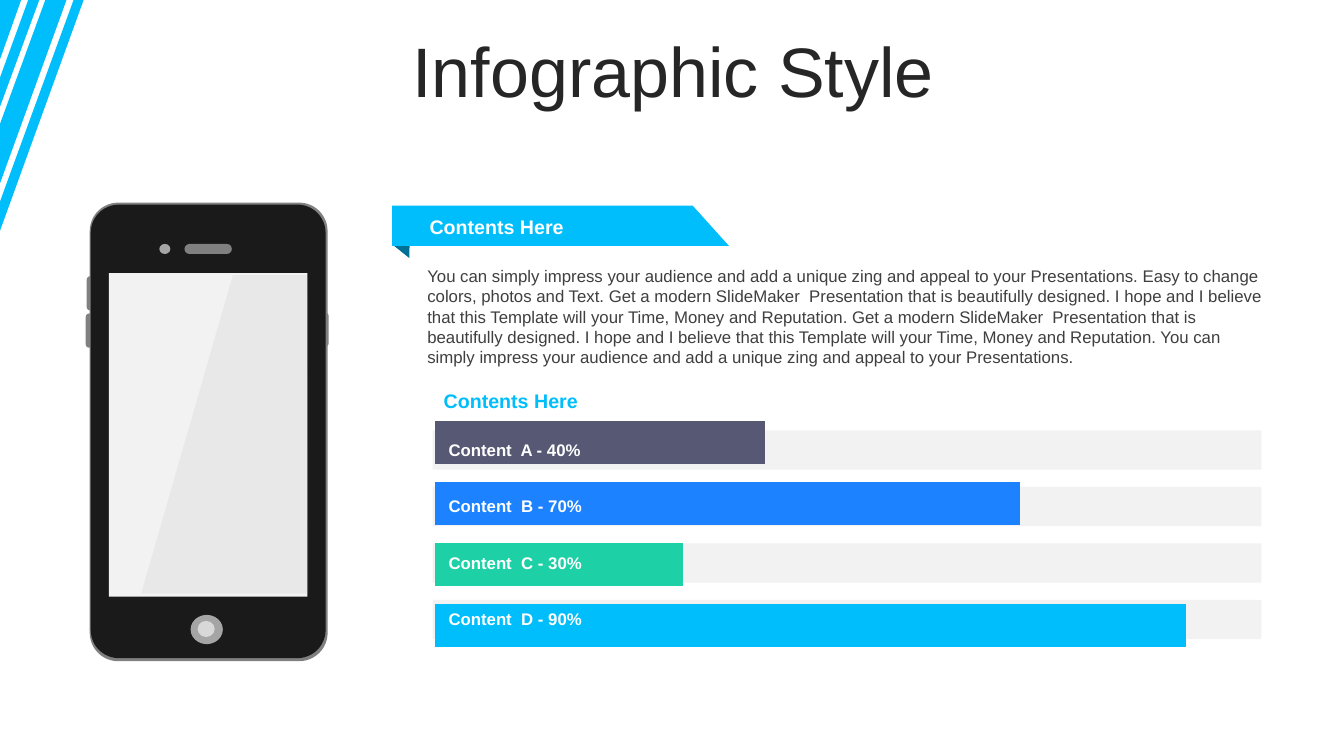
"""Build the phone infographic slide with its banner, text and bar chart."""

from dataclasses import dataclass

from lxml.etree import SubElement
from pptx import Presentation
from pptx.chart.data import CategoryChartData
from pptx.dml.color import RGBColor
from pptx.enum.chart import XL_CHART_TYPE
from pptx.enum.shapes import MSO_SHAPE
from pptx.enum.text import MSO_ANCHOR, PP_ALIGN
from pptx.oxml import parse_xml
from pptx.oxml.ns import nsdecls, qn
from pptx.shapes.autoshape import Shape
from pptx.slide import Slide
from pptx.util import Inches, Pt

FONT = "Arial"
WHITE = RGBColor(0xFF, 0xFF, 0xFF)
BLACK = RGBColor(0x00, 0x00, 0x00)
SKY = RGBColor(0x00, 0xBD, 0xFB)
DEEP_SKY = RGBColor(0x00, 0x71, 0x96)
BLUE = RGBColor(0x1C, 0x82, 0xFF)
GREEN = RGBColor(0x1E, 0xD0, 0xA6)
SLATE = RGBColor(0x56, 0x58, 0x74)
TITLE_GREY = RGBColor(0x26, 0x26, 0x26)
TEXT_GREY = RGBColor(0x3F, 0x3F, 0x3F)
SERIES_GREY = RGBColor(0x40, 0x40, 0x40)
CASE_BLACK = RGBColor(0x1A, 0x1A, 0x1A)
EDGE_GREY = RGBColor(0x80, 0x80, 0x80)
LENS_GREY = RGBColor(0xA5, 0xA5, 0xA5)
BUTTON_GREY = RGBColor(0xD8, 0xD8, 0xD8)
GLARE_GREY = RGBColor(0x99, 0x99, 0x99)
PALE_GREY = RGBColor(0xF2, 0xF2, 0xF2)

BODY_TEXT = (
    "You can simply impress your audience and add a unique zing and appeal to your "
    "Presentations. Easy to change colors, photos and Text. Get a modern SlideMaker  "
    "Presentation that is beautifully designed. I hope and I believe that this Template "
    "will your Time, Money and Reputation. Get a modern SlideMaker  Presentation that is "
    "beautifully designed. I hope and I believe that this Template will your Time, Money "
    "and Reputation. You can simply impress your audience and add a unique zing and appeal "
    "to your Presentations."
)
TRACK_TOP, TRACK_STEP = 4.27, 0.56

Box = tuple[float, float, float, float]
Outline = list[tuple[float, float]]


@dataclass(frozen=True)
class Part:
    """A preset shape with a plain fill."""

    preset: MSO_SHAPE
    box: Box
    color: RGBColor
    rounding: float | None = None


@dataclass(frozen=True)
class Bar:
    """A bar of the chart with its label."""

    label: str
    value: int
    color: RGBColor


PHONE_BODY = [
    Part(MSO_SHAPE.ROUNDED_RECTANGLE, (0.86, 2.74, 0.07, 0.34), EDGE_GREY, 0.5),
    Part(MSO_SHAPE.ROUNDED_RECTANGLE, (0.85, 3.11, 0.07, 0.34), EDGE_GREY, 0.5),
    Part(MSO_SHAPE.ROUNDED_RECTANGLE, (3.19, 3.1, 0.07, 0.34), EDGE_GREY, 0.5),
    Part(MSO_SHAPE.ROUNDED_RECTANGLE, (0.89, 2.01, 2.36, 4.55), EDGE_GREY, 0.12),
    Part(MSO_SHAPE.ROUNDED_RECTANGLE, (0.9, 2.03, 2.33, 4.5), CASE_BLACK, 0.12),
    Part(MSO_SHAPE.RECTANGLE, (1.08, 2.71, 1.97, 3.21), PALE_GREY),
    Part(MSO_SHAPE.OVAL, (1.89, 6.1, 0.32, 0.29), LENS_GREY),
    Part(MSO_SHAPE.OVAL, (1.96, 6.16, 0.17, 0.16), BUTTON_GREY),
]
PHONE_TOP = [
    Part(MSO_SHAPE.ROUNDED_RECTANGLE, (1.83, 2.42, 0.47, 0.1), EDGE_GREY, 0.5),
    Part(MSO_SHAPE.OVAL, (1.58, 2.42, 0.11, 0.1), LENS_GREY),
]
GLARE = [(2.31, 2.73), (3.05, 2.73), (3.06, 5.89), (1.4, 5.89)]
STRIPES = [
    [(0.73, 0), (0.83, 0), (0, 2.29), (0, 2)],
    [(0.39, 0), (0, 1.06), (0, 0.77), (0.28, 0)],
    [(0.66, 0), (0, 1.82), (0, 1.23), (0.45, 0)],
    [(0, 0), (0.21, 0), (0, 0.59)],
]
BANNER_FOLD = [(4.07, 2.06), (3.9, 2.06), (3.91, 2.44), (4.06, 2.56)]
BANNER = [(3.89, 2.04), (6.87, 2.04), (7.23, 2.44), (3.89, 2.44)]
BARS = [
    Bar("Content  A - 40%", 44, SLATE),
    Bar("Content  B - 70%", 78, BLUE),
    Bar("Content  C - 30%", 33, GREEN),
    Bar("Content  D - 90%", 100, SKY),
]


def paint(shape: Shape, color: RGBColor) -> None:
    shape.shadow.inherit = False
    shape.fill.solid()
    shape.fill.fore_color.rgb = color
    shape.line.fill.background()


def add_part(slide: Slide, part: Part) -> None:
    shape = slide.shapes.add_shape(part.preset, *map(Inches, part.box))
    if part.rounding is not None:
        shape.adjustments[0] = part.rounding
    paint(shape, part.color)


def add_outline(slide: Slide, outlines: list[Outline], color: RGBColor) -> Shape:
    contours = [[(Inches(x), Inches(y)) for x, y in outline] for outline in outlines]
    builder = slide.shapes.build_freeform(*contours[0][0], scale=1.0)
    for index, contour in enumerate(contours):
        if index:
            builder.move_to(*contour[0])
        builder.add_line_segments(contour[1:], close=True)
    shape = builder.convert_to_shape()
    paint(shape, color)
    return shape


def add_text(slide: Slide, text: str, box: Box, *, size: float, color: RGBColor,
             bold: bool = False, align: PP_ALIGN = PP_ALIGN.LEFT,
             anchor: MSO_ANCHOR = MSO_ANCHOR.MIDDLE, left_inset: float = 0.1,
             line_spacing: float = 1.0) -> None:
    frame = slide.shapes.add_textbox(*map(Inches, box)).text_frame
    frame.word_wrap = True
    frame.vertical_anchor = anchor
    frame.margin_left = Inches(left_inset)
    paragraph = frame.paragraphs[0]
    paragraph.alignment = align
    paragraph.line_spacing = line_spacing
    run = paragraph.add_run()
    run.text = text
    run.font.name = FONT
    run.font.size = Pt(size)
    run.font.bold = bold
    run.font.color.rgb = color


def add_bar_chart(slide: Slide, bars: list[Bar], box: Box) -> None:
    data = CategoryChartData()
    data.categories = [str(number) for number in range(1, len(bars) + 1)]
    data.add_series("Series 1", [bar.value for bar in bars])
    chart = slide.shapes.add_chart(XL_CHART_TYPE.BAR_STACKED, *map(Inches, box), data).chart
    chart.has_legend = False
    chart.has_title = False
    chart.font.name = FONT
    chart.font.size = Pt(12)
    chart.font.color.rgb = BLACK
    chart.category_axis.visible = False
    chart.value_axis.visible = False
    chart.value_axis.has_major_gridlines = False
    chart.value_axis.minimum_scale = 0
    chart.value_axis.maximum_scale = 100
    plot = chart.plots[0]
    plot.vary_by_categories = False
    plot.gap_width = 40
    plot.overlap = 100
    series = plot.series[0]
    series.format.fill.solid()
    series.format.fill.fore_color.rgb = SERIES_GREY
    for index, bar in enumerate(bars):
        fill = series.points[index].format.fill
        fill.solid()
        fill.fore_color.rgb = bar.color
    plot_area = next(chart.element.iter(qn("c:plotArea")))
    for layout in plot_area.findall(qn("c:layout")):
        plot_area.remove(layout)
    plot_area.insert(0, parse_xml(
        f'<c:layout {nsdecls("c")}><c:manualLayout><c:layoutTarget val="inner"/>'
        '<c:xMode val="edge"/><c:yMode val="edge"/><c:x val="0.02"/><c:y val="0.02"/>'
        '<c:w val="0.863"/><c:h val="0.96"/></c:manualLayout></c:layout>'))


def main() -> None:
    presentation = Presentation()
    presentation.slide_width = Inches(13.33)
    presentation.slide_height = Inches(7.5)
    slide = presentation.slides.add_slide(presentation.slide_layouts[6])

    for part in PHONE_BODY:
        add_part(slide, part)
    glare = add_outline(slide, [GLARE], GLARE_GREY)
    glare_color = next(glare.element.iter(qn("a:srgbClr")))
    SubElement(glare_color, qn("a:alpha"), val="10000")
    for part in PHONE_TOP:
        add_part(slide, part)
    add_outline(slide, STRIPES, SKY)
    add_outline(slide, [BANNER_FOLD], DEEP_SKY)
    add_outline(slide, [BANNER], SKY)
    add_text(slide, "Infographic Style", (0.35, 0.37, 12.66, 0.79), size=50,
             color=TITLE_GREY, align=PP_ALIGN.CENTER, line_spacing=0.8)

    track_tops = [TRACK_TOP + TRACK_STEP * index for index in range(len(BARS))]
    for top in track_tops:
        add_part(slide, Part(MSO_SHAPE.RECTANGLE, (4.29, top, 8.22, 0.39), PALE_GREY))
    add_bar_chart(slide, BARS[::-1], (4.14, 4.04, 8.63, 2.52))
    for bar, top in zip(BARS, track_tops):
        add_text(slide, bar.label, (4.35, top + 0.04, 1.71, 0.3), size=12, color=WHITE, bold=True)
    for box, color in [((4.14, 2.04, 2.52, 0.41), WHITE), ((4.28, 3.82, 1.91, 0.31), SKY)]:
        add_text(slide, "Contents Here", box, size=14, color=color, bold=True, left_inset=0.12)
    add_text(slide, BODY_TEXT, (4.14, 2.59, 8.54, 1.11), size=12, color=TEXT_GREY,
             anchor=MSO_ANCHOR.TOP)
    presentation.save("out.pptx")


if __name__ == "__main__":
    main()
